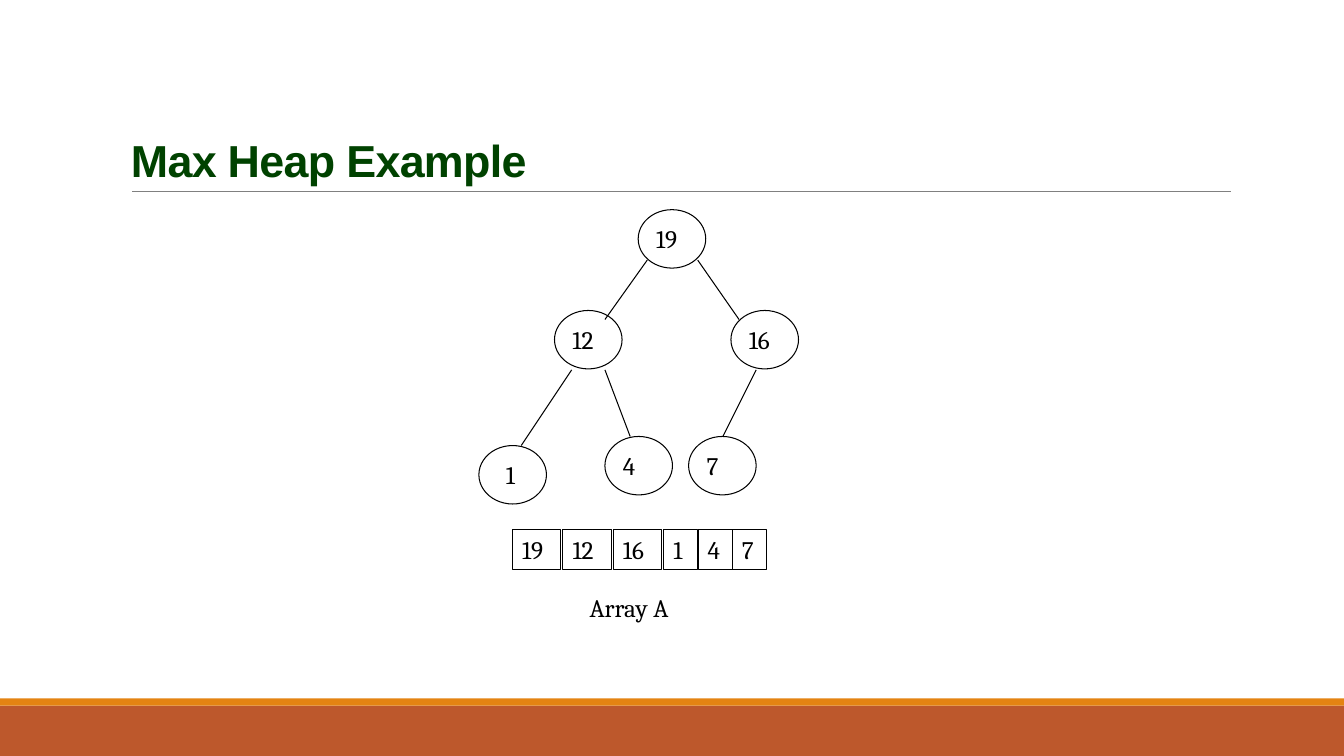
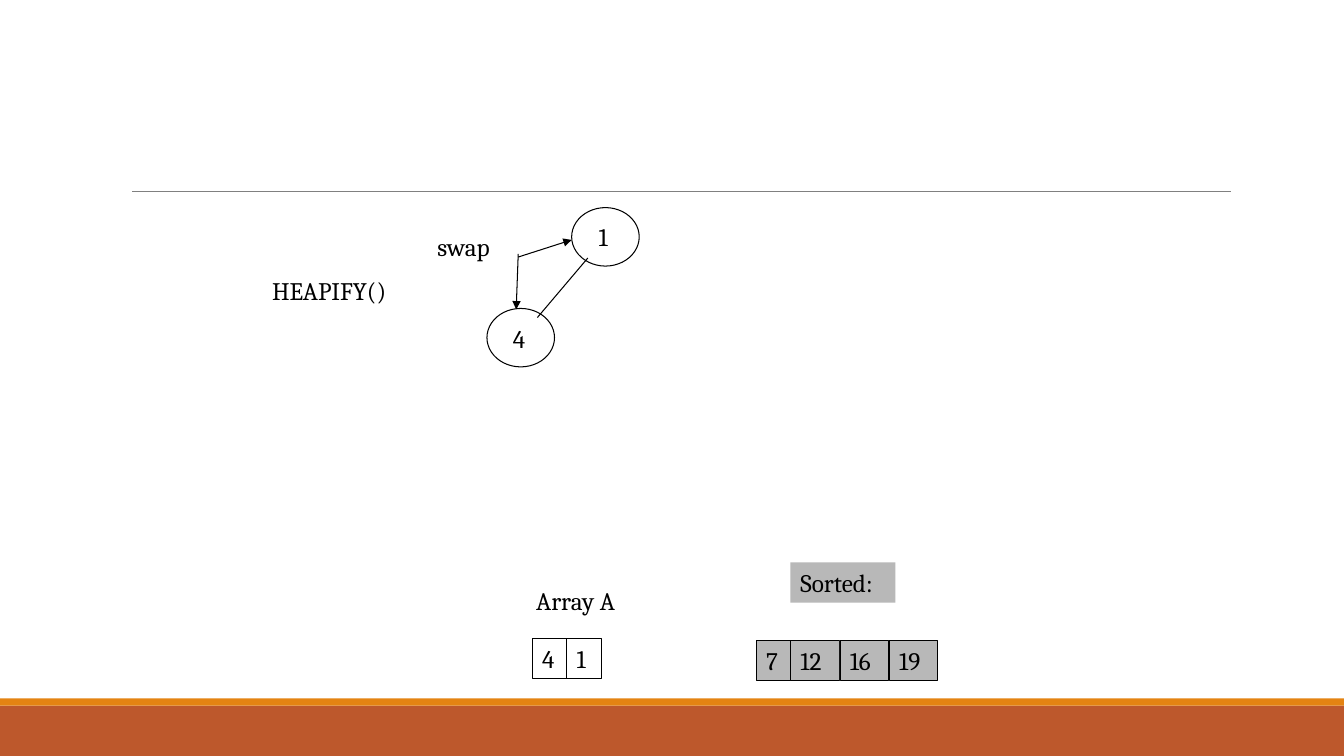
from collections import namedtuple

from lxml import etree
from pptx import Presentation
from pptx.dml.color import RGBColor
from pptx.enum.shapes import MSO_CONNECTOR, MSO_SHAPE
from pptx.enum.text import MSO_ANCHOR, MSO_AUTO_SIZE, PP_ALIGN
from pptx.oxml.ns import qn
from pptx.util import Emu, Pt

STRAIGHT = MSO_CONNECTOR.STRAIGHT
RECTANGLE, OVAL = MSO_SHAPE.RECTANGLE, MSO_SHAPE.OVAL
TOP, BOTTOM = MSO_ANCHOR.TOP, MSO_ANCHOR.BOTTOM
GROW = MSO_AUTO_SIZE.SHAPE_TO_FIT_TEXT
LEFT = PP_ALIGN.LEFT

EMU_PER_PX = 9144  # 100 px to the inch
PAGE_WIDTH, PAGE_HEIGHT = 1333, 750

BLACK, GREEN, GRAY = "000000", "004200", "808080"
RUST, ORANGE, SORTED_GRAY = "BD582C", "E48312", "B8B8B8"
TITLE_FONT, BODY_FONT = "Arial", "Cambria"

NODE_WIDTH, NODE_HEIGHT = 67, 58
LABEL_HEIGHT = 40
DIGIT_WIDTHS = {1: 34, 2: 48}

Box = namedtuple("Box", "left top width height")
# indent and drop place the number inside the node's own text area
Node = namedtuple("Node", "text left top indent drop", defaults=(8, 5))


def px(length):
    return Emu(length * EMU_PER_PX)


def color(value):
    return RGBColor.from_string(value)


def style_text(frame, text, size=18, font=BODY_FONT, tint=BLACK, bold=False):
    frame.text = text
    para = frame.paragraphs[0]
    para.alignment = LEFT
    span = para.runs[0]
    span.font.size = Pt(size)
    span.font.name = font
    span.font.bold = bold
    span.font.color.rgb = color(tint)
    return para, span


def add_block(page, kind, box, fill=None, line_width=0):
    block = page.shapes.add_shape(kind, *map(px, box))
    block.shadow.inherit = False
    if fill:
        block.fill.solid()
        block.fill.fore_color.rgb = color(fill)
    else:
        block.fill.background()
    if line_width:
        block.line.color.rgb = color(BLACK)
        block.line.width = Pt(line_width)
    else:
        block.line.fill.background()
    return block


def add_label(page, text, box, fill=None, line_width=0):
    """Add a growing one-line label, optionally filled and outlined."""
    frame = add_block(page, RECTANGLE, box, fill, line_width).text_frame
    frame.word_wrap = False
    frame.auto_size = GROW
    frame.vertical_anchor = TOP
    style_text(frame, text)


def add_line(page, start, end, tint=BLACK, width=0.75, arrow=False):
    line = page.shapes.add_connector(STRAIGHT, *map(px, start + end))
    line.line.color.rgb = color(tint)
    line.line.width = Pt(width)
    if arrow:
        tail = etree.SubElement(line.line._get_or_add_ln(), qn("a:tailEnd"))
        tail.set("type", "triangle")
    etree.SubElement(line._element.spPr, qn("a:effectLst"))


def add_page(deck):
    """Add a blank slide with the footer bands and the title rule."""
    page = deck.slides.add_slide(deck.slide_layouts[6])
    add_block(page, RECTANGLE, Box(0, 700, PAGE_WIDTH, 50), RUST)
    add_block(page, RECTANGLE, Box(0, 693, PAGE_WIDTH, 7), ORANGE)
    add_line(page, (131, 190), (1221, 190), GRAY, 0.5)
    return page


def add_title(page, text):
    frame = page.shapes.add_textbox(*map(px, Box(120, 31, 1100, 159))).text_frame
    frame.word_wrap = True
    frame.vertical_anchor = BOTTOM
    para, span = style_text(frame, text, 32, TITLE_FONT, GREEN, True)
    para.line_spacing = 0.85
    span.font._element.set("spc", "-50")


def add_tree(page, left, top, nodes, edges, arrows=()):
    """Draw nodes, edges and arrows measured from the tree's top left corner."""
    for node in nodes:
        box = Box(left + node.left, top + node.top, NODE_WIDTH, NODE_HEIGHT)
        frame = add_block(page, OVAL, box, line_width=0.75).text_frame
        frame.word_wrap = True
        frame.vertical_anchor = TOP
        frame.margin_left, frame.margin_top = px(node.indent), px(node.drop)
        frame.margin_right = frame.margin_bottom = 0
        style_text(frame, node.text)
    for lines, arrow in ((edges, False), (arrows, True)):
        for x1, y1, x2, y2 in lines:
            add_line(page, (left + x1, top + y1), (left + x2, top + y2), arrow=arrow)


def add_array(page, left, top, values, gap=0, fill=None):
    """Draw a row of cells; the gap follows each two-digit cell."""
    for value in values:
        width = DIGIT_WIDTHS[len(value)]
        add_label(page, value, Box(left, top, width, LABEL_HEIGHT), fill, 0.25)
        left += width + (gap if len(value) == 2 else 0)


def build_max_heap(deck):
    page = add_page(deck)
    add_title(page, "Max Heap Example")
    nodes = [
        Node("19", 158, 0),
        Node("12", 75, 100),
        Node("16", 250, 100),
        Node("1", 0, 234, 17),
        Node("4", 125, 225),
        Node("7", 208, 225),
    ]
    edges = [
        (167, 50, 125, 109),
        (217, 50, 258, 109),
        (92, 159, 42, 234),
        (125, 159, 150, 225),
        (275, 159, 242, 225),
    ]
    add_tree(page, 475, 208, nodes, edges)
    add_array(page, 508, 525, ["19", "12", "16", "1", "4", "7"], gap=2)
    add_label(page, "Array A", Box(575, 583, 114, LABEL_HEIGHT))


def build_heapify(deck):
    page = add_page(deck)
    nodes = [Node("1", 84, 0, 17), Node("4", 0, 100, 16, 6)]
    swap_arrows = [(31, 46, 29, 101), (31, 49, 84, 32)]
    add_tree(page, 483, 206, nodes, [(100, 50, 50, 109)], swap_arrows)
    add_label(page, "swap", Box(424, 225, 80, LABEL_HEIGHT))
    add_label(page, "HEAPIFY()", Box(260, 268, 156, LABEL_HEIGHT))
    add_label(page, "Array A", Box(522, 576, 114, LABEL_HEIGHT))
    add_array(page, 528, 633, ["4", "1"])
    add_label(page, "Sorted:", Box(784, 558, 104, LABEL_HEIGHT), SORTED_GRAY)
    add_array(page, 750, 635, ["7", "12", "16", "19"], gap=1, fill=SORTED_GRAY)


def main():
    deck = Presentation()
    deck.slide_width, deck.slide_height = px(PAGE_WIDTH), px(PAGE_HEIGHT)
    build_max_heap(deck)
    build_heapify(deck)
    deck.save("out.pptx")


if __name__ == "__main__":
    main()
